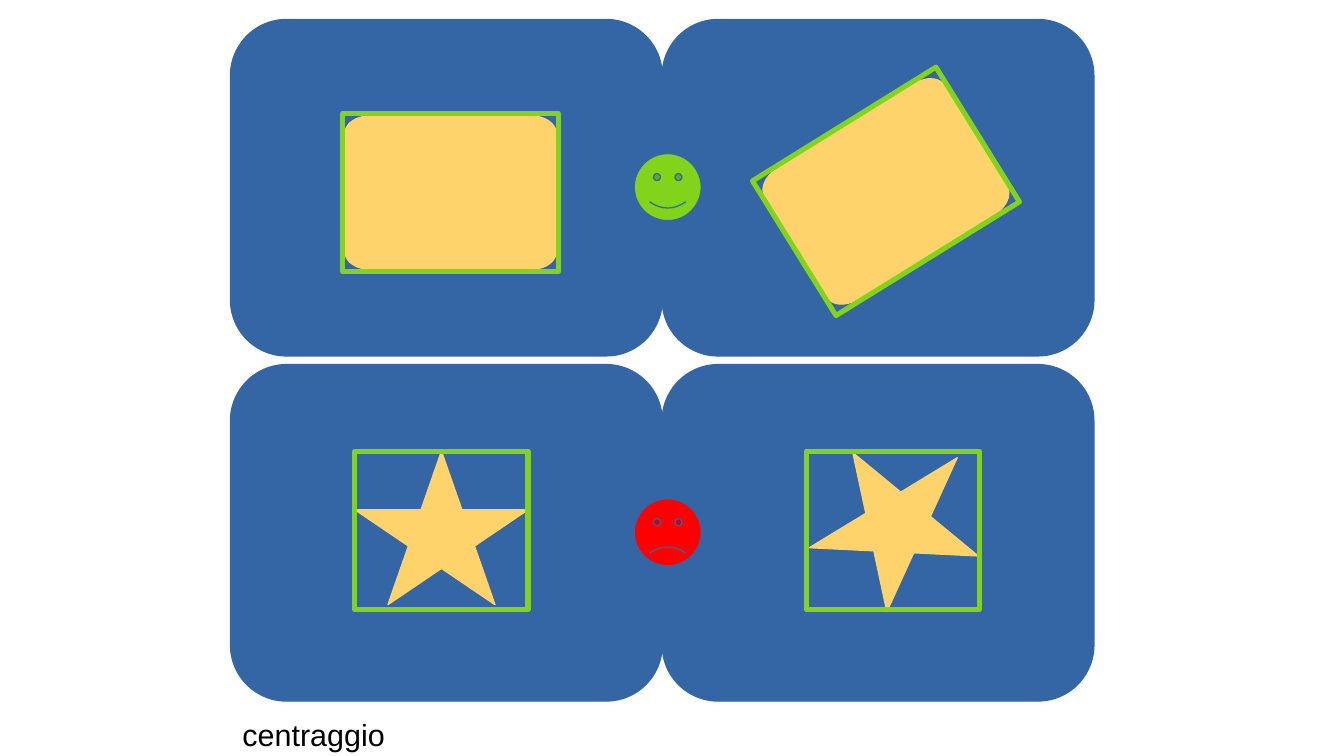
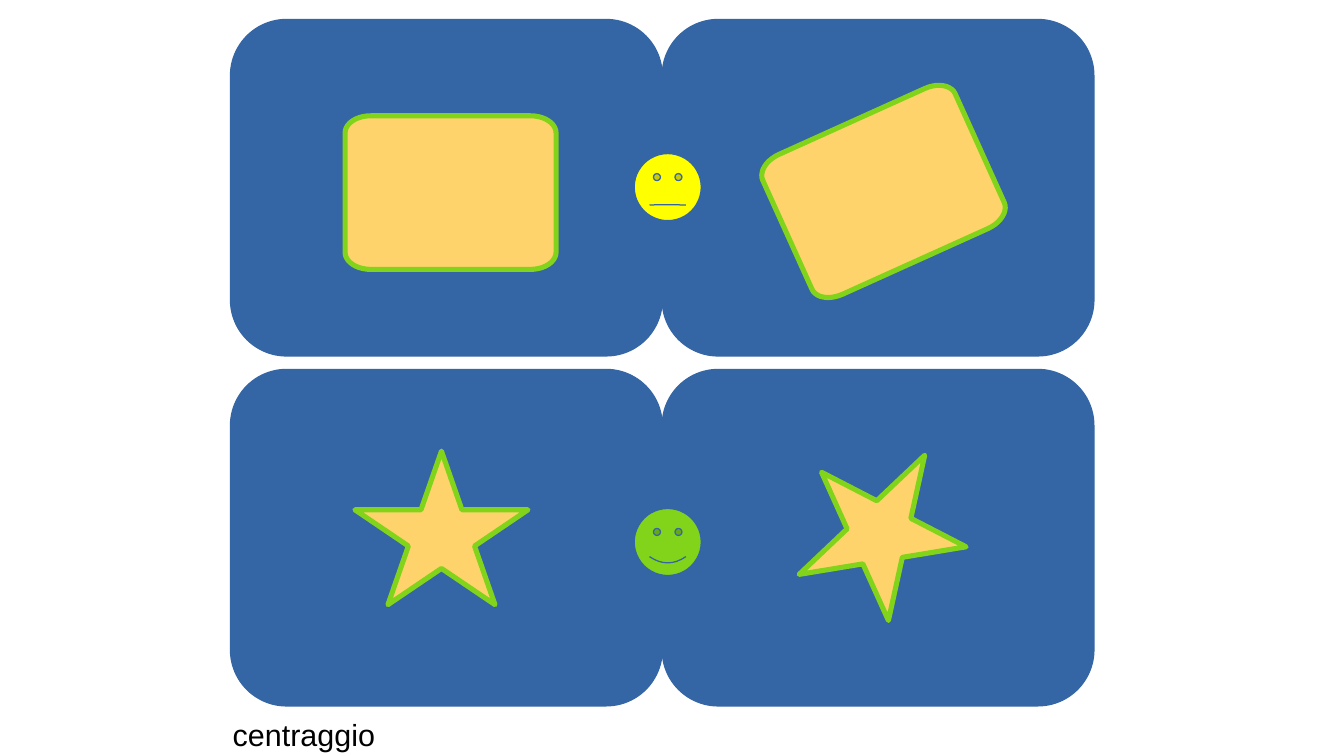
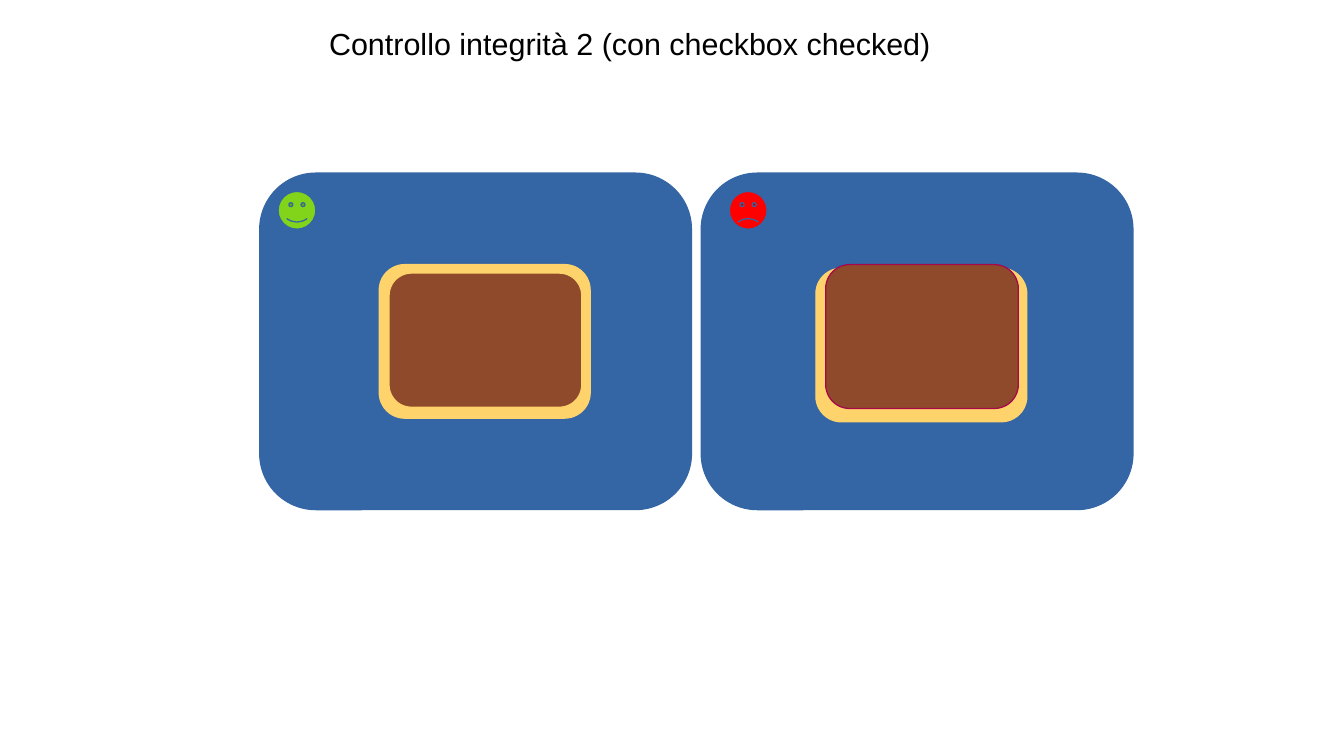
"""Build three slides on centring and integrity checks."""
from math import cos, pi, sin
from pptx import Presentation
from pptx.dml.color import RGBColor
from pptx.enum.shapes import MSO_SHAPE
from pptx.util import Inches, Pt

PANEL = MSO_SHAPE.FLOWCHART_ALTERNATE_PROCESS
RECT = MSO_SHAPE.RECTANGLE
STAR = MSO_SHAPE.STAR_5_POINT
FACE = MSO_SHAPE.SMILEY_FACE
CARD = "card"

BLUE, GOLD, GREEN = "3465A4", "FFD36B", "81D41A"
RED, YELLOW, BROWN, WINE = "FF0000", "FFFF00", "8F4A2B", "A7074B"
BLACK, FONT = "000000", "Arial"

WIDE, HIGH = 11.02, 6.2
PANEL_W, PANEL_H = 3.54, 2.76
CARD_BOX = (1.73, 1.26)
STAR_BOX = (1.42, 1.26)
FRAME = (1.77, 1.3)
BOUND = (1.42, 1.3)
TILT = -31.8
MOODS = {"good": (GREEN, 0.093), "fair": (YELLOW, -0.002), "bad": (RED, -0.093)}

SLIDES = [
    {
        "panels": [(1.89, 0.16), (5.43, 0.16), (1.89, 2.99), (5.43, 2.99)],
        "parts": [
            (CARD, 2.83, 0.95, CARD_BOX, 0, GOLD, GOLD, 0),
            (RECT, 2.81, 0.93, FRAME, 0, None, GREEN, 3),
            (CARD, 6.4, 0.94, CARD_BOX, TILT, GOLD, GOLD, 0),
            (RECT, 6.38, 0.92, FRAME, TILT, None, GREEN, 3),
            (STAR, 2.91, 3.7, STAR_BOX, 0, GOLD, GOLD, 0),
            (RECT, 2.91, 3.7, BOUND, 0, None, GREEN, 3),
            (STAR, 6.61, 3.62, STAR_BOX, -31.3, GOLD, GOLD, 0),
            (RECT, 6.61, 3.7, BOUND, 0, None, GREEN, 3),
        ],
        "faces": [("good", 5.2, 1.26, 0.55), ("bad", 5.2, 4.09, 0.55)],
        "label": ("centraggio", 1.89, 5.82, 4.96, 0.38),
    },
    {
        "panels": [(1.89, 0.16), (5.43, 0.16), (1.89, 3.03), (5.43, 3.03)],
        "parts": [
            (CARD, 2.83, 0.95, CARD_BOX, 0, GOLD, GREEN, 3),
            (CARD, 6.38, 0.94, CARD_BOX, -24.3, GOLD, GREEN, 3),
            (STAR, 2.91, 3.7, STAR_BOX, 0, GOLD, GREEN, 3),
            (STAR, 6.46, 3.7, STAR_BOX, -43.5, GOLD, GREEN, 3),
        ],
        "faces": [("fair", 5.2, 1.26, 0.55), ("good", 5.2, 4.17, 0.55)],
        "label": ("centraggio", 1.81, 5.82, 4.96, 0.38),
    },
    {
        "panels": [(2.13, 1.42), (5.75, 1.42)],
        "parts": [
            (PANEL, 3.11, 2.17, CARD_BOX, 0, GOLD, GOLD, 0),
            (PANEL, 3.19, 2.24, (1.58, 1.1), 0, BROWN, GOLD, 0),
            (PANEL, 6.69, 2.2, CARD_BOX, 0, GOLD, GOLD, 0),
            (PANEL, 6.77, 2.17, (1.58, 1.18), 0, BROWN, WINE, 0),
        ],
        "faces": [("good", 2.28, 1.57, 0.31), ("bad", 5.98, 1.57, 0.31)],
        "label": ("Controllo integrità 2 (con checkbox checked)", 2.6, 0.16, 6.54, 0.66),
    },
]


def rgb(code):
    """Turn a hex string into a colour."""
    return RGBColor.from_string(code)


def outline(slide, left, top, size, rx=0.21, ry=0.14, steps=10):
    """Draw a box with elliptic corners."""
    wide, high = size
    ends = [(wide - rx, high - ry), (rx, high - ry), (rx, ry), (wide - rx, ry)]
    dots = []
    for turn, (x, y) in enumerate(ends):
        for step in range(steps + 1):
            arc = (turn + step / steps) * pi / 2
            dots.append((Inches(left + x + rx * cos(arc)), Inches(top + y + ry * sin(arc))))
    pen = slide.shapes.build_freeform(*dots[0])
    pen.add_line_segments(dots[1:], close=True)
    return pen.convert_to_shape()


def draw(slide, kind, left, top, size, rot, fill, line, width):
    """Draw one filled or outlined part."""
    if kind == CARD:
        shape = outline(slide, left, top, size)
    else:
        shape = slide.shapes.add_shape(kind, *map(Inches, (left, top, *size)))
    shape.shadow.inherit = False
    shape.rotation = rot
    if fill:
        shape.fill.solid()
        shape.fill.fore_color.rgb = rgb(fill)
    else:
        shape.fill.background()
    shape.line.color.rgb = rgb(line)
    shape.line.width = Pt(width)
    return shape


def write(slide, text, *box):
    """Write the slide label."""
    frame = slide.shapes.add_textbox(*map(Inches, box)).text_frame
    frame.word_wrap = True
    run = frame.paragraphs[0].add_run()
    run.text = text
    run.font.name, run.font.size = FONT, Pt(18)
    run.font.color.rgb = rgb(BLACK)


def main():
    """Build and save the deck."""
    deck = Presentation()
    deck.slide_width, deck.slide_height = Inches(WIDE), Inches(HIGH)
    for page in SLIDES:
        slide = deck.slides.add_slide(deck.slide_layouts[6])
        for left, top in page["panels"]:
            draw(slide, PANEL, left, top, (PANEL_W, PANEL_H), 0, BLUE, BLUE, 0)
        for part in page["parts"]:
            draw(slide, *part)
        for mood, left, top, side in page["faces"]:
            fill, smile = MOODS[mood]
            face = draw(slide, FACE, left, top, (side, side), 0, fill, BLUE, 0)
            face.adjustments[0] = smile
        write(slide, *page["label"])
    deck.save("out.pptx")


if __name__ == "__main__":
    main()
